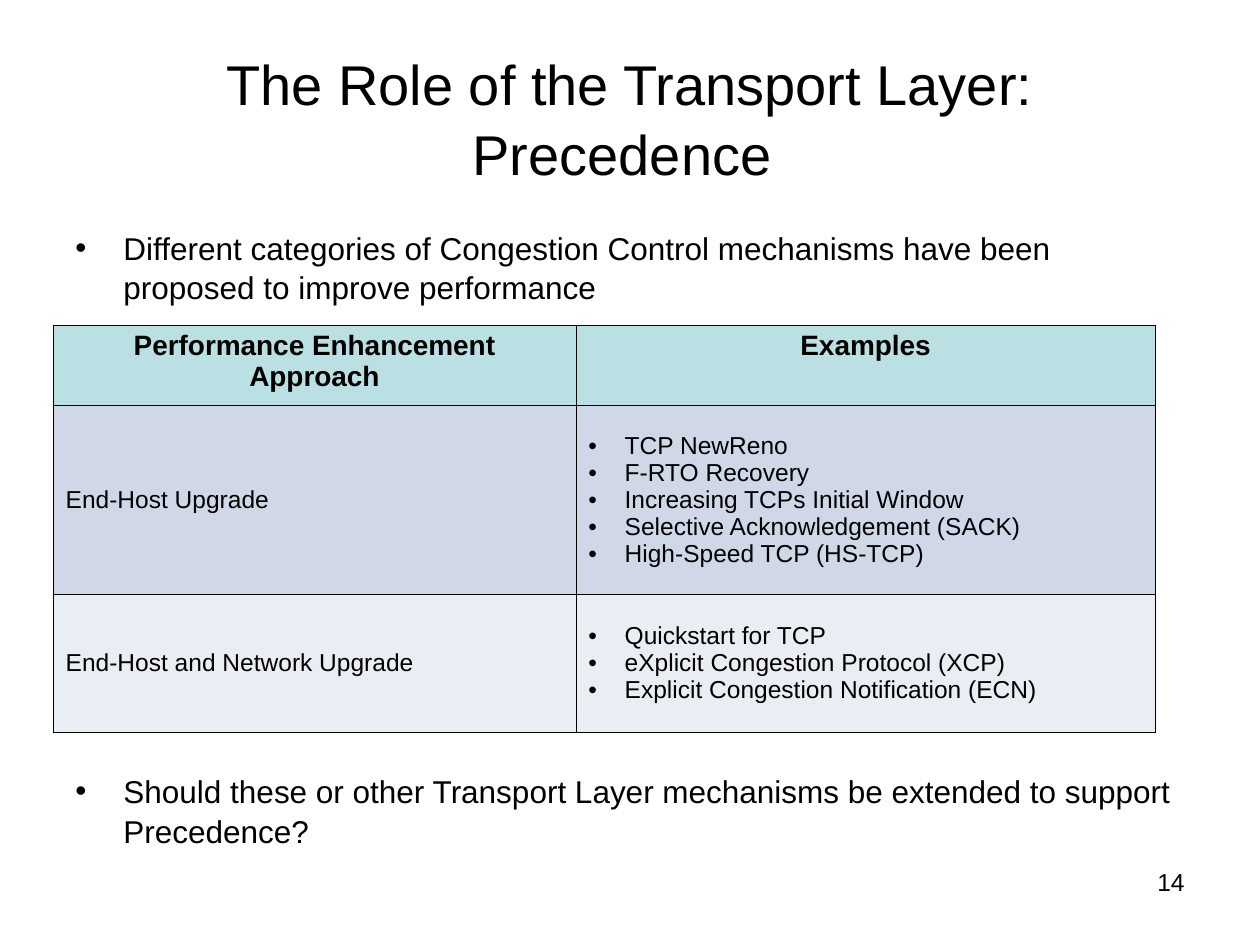
from lxml.etree import SubElement
from pptx import Presentation
from pptx.dml.color import RGBColor
from pptx.enum.text import MSO_ANCHOR as ANCHOR, PP_ALIGN as ALIGN
from pptx.oxml.ns import qn
from pptx.util import Cm, Pt

FONT = "Arial"
COLORS = {
    "text": "000000",
    "border": "000000",
    "header": "BBE0E3",
    "band_dark": "D0D8E8",
    "band_light": "E9EDF4",
}
HEADERS = ["Performance Enhancement Approach", "Examples"]
APPROACHES = [
    ("End-Host Upgrade", [
        "TCP NewReno",
        "F-RTO Recovery",
        "Increasing TCPs Initial Window",
        "Selective Acknowledgement (SACK)",
        "High-Speed TCP (HS-TCP)",
    ]),
    ("End-Host and Network Upgrade", [
        "Quickstart for TCP",
        "eXplicit Congestion Protocol (XCP)",
        "Explicit Congestion Notification (ECN)",
    ]),
]


def rgb(name):
    return RGBColor.from_string(COLORS[name])


def add_text(tf, text, size, bold=False, align=ALIGN.LEFT, spacing=1.0,
             before=0, hang=None):
    """Add one paragraph; hang is the bullet's hanging indent."""
    first = tf.paragraphs[0]
    p = tf.add_paragraph() if first.runs else first
    p.alignment = align
    p.line_spacing = spacing
    if before:
        p.space_before = Pt(before)
    if hang is not None:
        pPr = p._p.get_or_add_pPr()
        pPr.set("marL", str(hang))
        pPr.set("indent", str(-hang))
        SubElement(pPr, qn("a:buFont"), typeface=FONT)
        SubElement(pPr, qn("a:buChar"), char="•")
    r = p.add_run()
    r.text = text
    r.font.name = FONT
    r.font.size = Pt(size)
    r.font.bold = bold
    r.font.color.rgb = rgb("text")


def add_box(slide, left, top, width, height, anchor=ANCHOR.TOP):
    tf = slide.shapes.add_textbox(left, top, width, height).text_frame
    tf.word_wrap = True
    tf.vertical_anchor = anchor
    return tf


def add_title(slide, *box):
    tf = add_box(slide, *box, anchor=ANCHOR.MIDDLE)
    # The trailing space takes part in the centring of the last line
    add_text(tf, "The Role of the Transport Layer: Precedence ", 32,
             align=ALIGN.CENTER, spacing=1.04)


def add_body(slide, *box):
    tf = add_box(slide, *box)
    style = dict(size=18, spacing=1.05, hang=Cm(0.97))
    add_text(tf, "Different categories of Congestion Control mechanisms "
             "have been proposed to improve performance", **style)
    # The space before leaves room for the table
    add_text(tf, "Should these or other Transport Layer mechanisms be "
             "extended to support Precedence?", before=265, **style)


def style_cell(cell, fill, anchor):
    tcPr = cell._tc.get_or_add_tcPr()
    for side in ("L", "R", "T", "B"):
        ln = SubElement(tcPr, qn(f"a:ln{side}"), w=str(Pt(0.45)))
        paint = SubElement(ln, qn("a:solidFill"))
        SubElement(paint, qn("a:srgbClr"), val=COLORS["border"])
    cell.fill.solid()
    cell.fill.fore_color.rgb = rgb(fill)
    cell.vertical_anchor = anchor


def add_approach_table(slide, left, top, col_widths, row_heights):
    table = slide.shapes.add_table(
        len(row_heights), len(col_widths), left, top,
        sum(col_widths), sum(row_heights)).table
    for column, width in zip(table.columns, col_widths):
        column.width = width
    for row, height in zip(table.rows, row_heights):
        row.height = height

    # Header row
    for c, header in enumerate(HEADERS):
        cell = table.cell(0, c)
        style_cell(cell, "header", ANCHOR.TOP)
        add_text(cell.text_frame, header, 16, bold=True,
                 align=ALIGN.CENTER, spacing=0.98)

    # One row for each approach
    bands = ("band_dark", "band_light")
    for i, (approach, examples) in enumerate(APPROACHES):
        name, listing = table.cell(i + 1, 0), table.cell(i + 1, 1)
        for cell in (name, listing):
            style_cell(cell, bands[i % 2], ANCHOR.MIDDLE)
        add_text(name.text_frame, approach, 14, spacing=0.98)
        for example in examples:
            add_text(listing.text_frame, example, 14, spacing=0.98,
                     hang=Cm(0.73))


def add_slide_number(slide, *box):
    add_text(add_box(slide, *box), "14", 14, align=ALIGN.RIGHT)


def main():
    prs = Presentation()
    prs.slide_width, prs.slide_height = Cm(25.4), Cm(19.05)
    slide = prs.slides.add_slide(prs.slide_layouts[6])
    add_title(slide, Cm(1.27), Cm(0.76), Cm(22.86), Cm(3.18))
    add_body(slide, Cm(1.27), Cm(4.45), Cm(22.66), Cm(12.57))
    add_approach_table(slide, Cm(1.07), Cm(6.55),
                       [Cm(10.54), Cm(11.68)],
                       [Cm(1.63), Cm(3.81), Cm(2.77)])
    add_slide_number(slide, Cm(18.21), Cm(17.35), Cm(5.92), Cm(1.32))
    prs.save("out.pptx")


if __name__ == "__main__":
    main()
